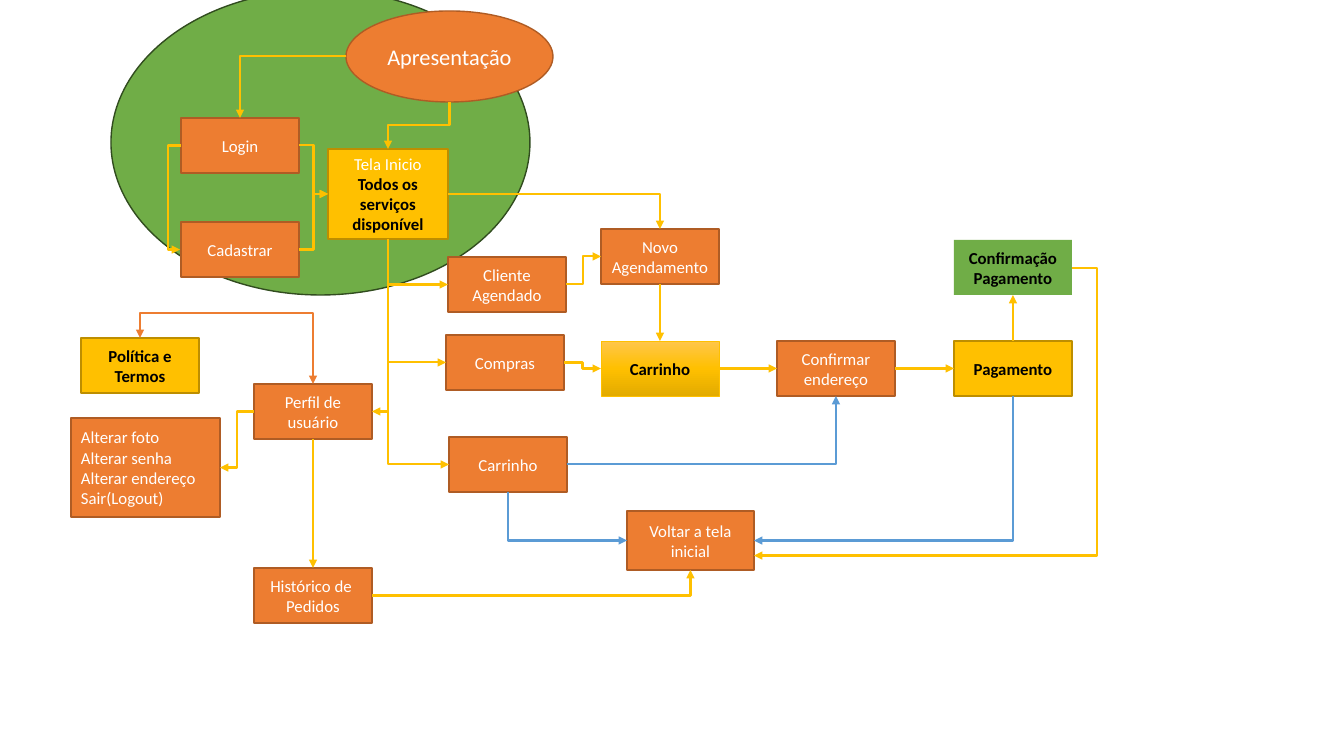
from copy import deepcopy
from lxml.etree import SubElement
from pptx import Presentation
from pptx.dml.color import RGBColor
from pptx.enum.shapes import MSO_CONNECTOR as Link, MSO_SHAPE as Preset
from pptx.enum.text import MSO_ANCHOR as Anchor, PP_ALIGN as Align
from pptx.oxml.ns import qn
from pptx.util import Emu, Pt

COLORS = {
    "orange": "ED7D31", "orange_edge": "AF5C24", "gold": "FFC000", "gold_edge": "BD8E00",
    "green": "70AD47", "green_edge": "314C1F", "blue": "5B9BD5",
    "gold_light": "FFC64B", "gold_dark": "E3AB00", "white": "FFFFFF", "black": "000000",
}
# style: fill, edge, edge width, text colour, bold
STYLES = {
    "step": ("orange", "orange_edge", 1, "white", False),
    "key": ("gold", "gold_edge", 1, "black", True),
    "cart": ("gold", "gold", 0.5, "black", True),
    "done": ("green", None, 0, "black", True),
    "area": ("green", "green_edge", 1, "white", False),
}
CART_GRADIENT = [(0, "gold_light"), (0.5, "gold"), (1, "gold_dark")]

W, H = 118, 55
FLOW_Y = 341
# key: style, left, top, width, height, paragraphs
BOXES = {
    "area": ("area", 111, -10, 419, 305, []),
    "intro": ("step", 346, 11, 207, 91, ["Apresentação"]),
    "login": ("step", 181, 118, W, H, ["Login"]),
    "signup": ("step", 181, 222, W, H, ["Cadastrar"]),
    "home": ("key", 328, 149, 120, 90, ["Tela Inicio", "Todos os serviços disponível"]),
    "booked": ("step", 448, 257, W, H, ["Cliente Agendado"]),
    "booking": ("step", 601, 229, W, H, ["Novo Agendamento"]),
    "shopping": ("step", 446, 335, W, H, ["Compras"]),
    "cart": ("cart", 601, FLOW_Y, W, H, ["Carrinho"]),
    "address": ("step", 777, FLOW_Y, W, H, ["Confirmar endereço"]),
    "payment": ("key", 954, FLOW_Y, W, H, ["Pagamento"]),
    "paid": ("done", 954, 240, W, H, ["Confirmação", "Pagamento"]),
    "cart_page": ("step", 449, 437, W, H, ["Carrinho"]),
    "back": ("step", 627, 511, 127, 59, ["Voltar a tela inicial"]),
    "profile": ("step", 254, 384, W, H, ["Perfil de usuário"]),
    "history": ("step", 254, 568, W, H, ["Histórico de ", "Pedidos"]),
    "terms": ("key", 81, 338, W, H, ["Política e Termos"]),
    "account": ("step", 71, 418, 149, 99,
                ["Alterar foto", "Alterar senha", "Alterar endereço", "Sair(Logout)"]),
}
OVALS, LEFT_ALIGNED = {"area", "intro"}, {"account"}

SIDES = ["top", "left", "bottom", "right"]
# from, side, to, side, then options: color, turn (where the middle leg lies), shift, both
ARROWS = [
    ("intro", "left", "login", "top", {}),
    ("intro", "bottom", "home", "top", {}),
    ("login", "right", "home", "left", {}),
    ("login", "left", "signup", "left", {"turn": 168}),
    ("signup", "right", "home", "left", {}),
    ("home", "right", "booking", "top", {}),
    ("home", "bottom", "booked", "left", {}),
    ("home", "bottom", "shopping", "left", {}),
    ("home", "bottom", "cart_page", "left", {}),
    ("home", "bottom", "profile", "right", {}),
    ("booked", "right", "booking", "left", {}),
    ("booking", "bottom", "cart", "top", {}),
    ("shopping", "right", "cart", "left", {}),
    ("cart", "right", "address", "left", {}),
    ("address", "right", "payment", "left", {}),
    ("payment", "top", "paid", "bottom", {}),
    ("profile", "left", "account", "right", {}),
    ("profile", "top", "terms", "top", {"turn": 313, "color": "orange", "both": True}),
    ("profile", "bottom", "history", "top", {}),
    ("history", "right", "back", "bottom", {}),
    ("cart_page", "right", "address", "bottom", {"color": "blue"}),
    ("cart_page", "bottom", "back", "left", {"color": "blue"}),
    ("payment", "bottom", "back", "right", {"color": "blue"}),
    ("paid", "right", "back", "right", {"turn": 1097, "shift": 15}),
]


def px(length):
    """Turn pixels into EMU."""
    return Emu(round(length * 914400 / 100.8))


def rgb(name):
    """Look a colour up by name."""
    return RGBColor.from_string(COLORS[name])


def fill_gradient(shape):
    """Give a shape the three-stop vertical gradient of the cart."""
    shape.fill.gradient()
    shape.fill.gradient_angle = 270
    stop_list = shape._element.spPr.find(qn("a:gradFill")).find(qn("a:gsLst"))
    stop_list.append(deepcopy(stop_list[-1]))
    for stop, (position, color) in zip(shape.fill.gradient_stops, CART_GRADIENT):
        stop.position = position
        stop.color.rgb = rgb(color)


def add_box(slide, key):
    """Draw one step of the flow with its text."""
    style, left, top, width, height, lines = BOXES[key]
    fill, edge, edge_width, ink, bold = STYLES[style]
    preset = Preset.OVAL if key in OVALS else Preset.RECTANGLE
    box = slide.shapes.add_shape(preset, px(left), px(top), px(width), px(height))
    box.shadow.inherit = False
    if style == "cart":
        fill_gradient(box)
    else:
        box.fill.solid()
        box.fill.fore_color.rgb = rgb(fill)
    if edge:
        box.line.color.rgb = rgb(edge)
        box.line.width = Pt(edge_width)
    else:
        box.line.fill.background()
    if not lines:
        return box
    frame = box.text_frame
    frame.word_wrap = True
    frame.vertical_anchor = Anchor.MIDDLE
    frame.text = "\n".join(lines)
    for number, paragraph in enumerate(frame.paragraphs):
        paragraph.alignment = Align.LEFT if key in LEFT_ALIGNED else Align.CENTER
        heading = key == "home" and number == 0
        font = paragraph.runs[0].font
        font.name, font.size = "Calibri", Pt(16 if key == "intro" else 12)
        font.bold = bold and not heading
        font.color.rgb = rgb("white" if heading else ink)
    return box


def side_point(key, side):
    """Return the middle of one side of a box, in pixels."""
    left, top, width, height = BOXES[key][1:5]
    across = {"left": 0, "right": 1}.get(side, 0.5)
    down = {"top": 0, "bottom": 1}.get(side, 0.5)
    return left + across * width, top + down * height


def bend(arrow, start, end, side, end_side, turn):
    """Lay an elbow that leaves along the given side's direction."""
    (x1, y1), (x2, y2) = start, end
    dx, dy = (x2 - x1) or -1, (y2 - y1) or -1
    width, height = abs(dx), abs(dy)
    upright = side in ("top", "bottom")
    if upright:
        width, height = height, width
        rotation = 90 if dx < 0 < dy else 270
        flip_h, flip_v = dx > 0 and dy > 0, dx < 0 and dy < 0
    else:
        rotation = 180 if dx < 0 else 0
        flip_h, flip_v = False, (dx < 0) == (dy > 0)
    arrow.left, arrow.top = px(x1 + dx / 2 - width / 2), px(y1 + dy / 2 - height / 2)
    arrow.width, arrow.height = px(width), px(height)
    properties = arrow._element.spPr
    frame = properties.find(qn("a:xfrm"))
    for name, value in (("rot", rotation * 60000), ("flipH", int(flip_h)), ("flipV", int(flip_v))):
        frame.set(name, str(value))
    geometry = properties.find(qn("a:prstGeom"))
    if upright != (end_side in ("top", "bottom")):
        geometry.set("prst", "bentConnector2")
    elif turn is not None:
        share = (turn - y1) / dy if upright else (turn - x1) / dx
        guide = SubElement(geometry.find(qn("a:avLst")), qn("a:gd"))
        guide.set("name", "adj1")
        guide.set("fmla", f"val {round(share * 100000)}")


def add_arrow(slide, boxes, source, side, target, end_side, options):
    """Join two boxes with a glued arrow, straight when they line up."""
    start, (end_x, end_y) = side_point(source, side), side_point(target, end_side)
    shift = options.get("shift", 0)
    end = end_x, end_y + shift
    turn = options.get("turn")
    straight = turn is None and (start[0] == end[0] or start[1] == end[1])
    arrow = slide.shapes.add_connector(Link.STRAIGHT if straight else Link.ELBOW,
                                       *map(px, start + end))
    arrow.begin_connect(boxes[source], SIDES.index(side))
    if source in OVALS:  # an oval has eight glue points, two per side
        glue = next(arrow._element.iter(qn("a:stCxn")))
        glue.set("idx", str(2 * SIDES.index(side)))
    if not shift:
        arrow.end_connect(boxes[target], SIDES.index(end_side))
    if not straight:
        bend(arrow, start, end, side, end_side, turn)
    arrow.line.color.rgb = rgb(options.get("color", "gold"))
    arrow.line.width = Pt(1.5)
    properties = arrow._element.spPr
    for tip in ["headEnd", "tailEnd"] if options.get("both") else ["tailEnd"]:
        SubElement(properties.find(qn("a:ln")), qn(f"a:{tip}")).set("type", "triangle")
    SubElement(properties, qn("a:effectLst"))


deck = Presentation()
deck.slide_width, deck.slide_height = px(1344), px(756)
flow = deck.slides.add_slide(deck.slide_layouts[6])
steps = {key: add_box(flow, key) for key in BOXES}
for link in ARROWS:
    add_arrow(flow, steps, *link)
deck.save("out.pptx")
